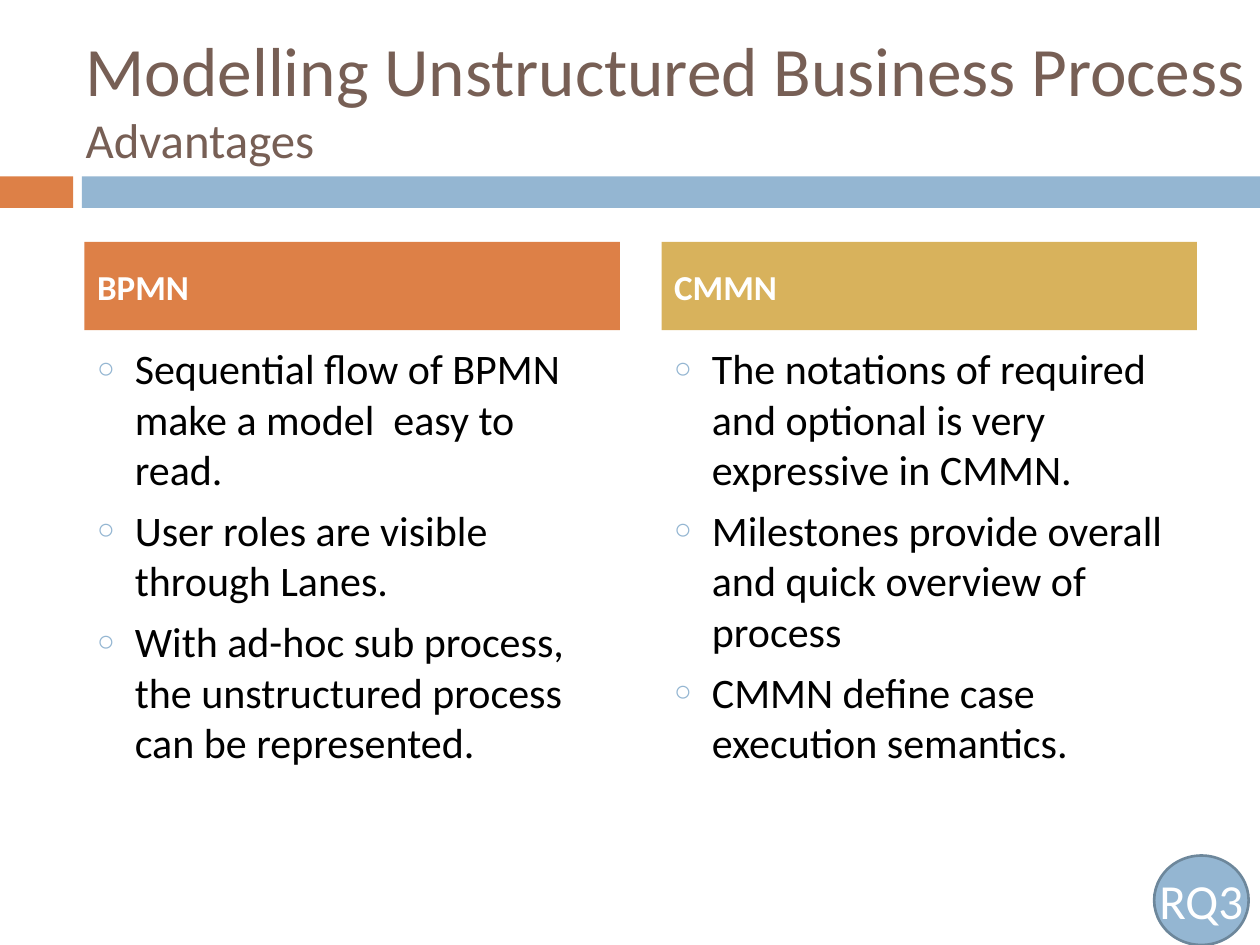
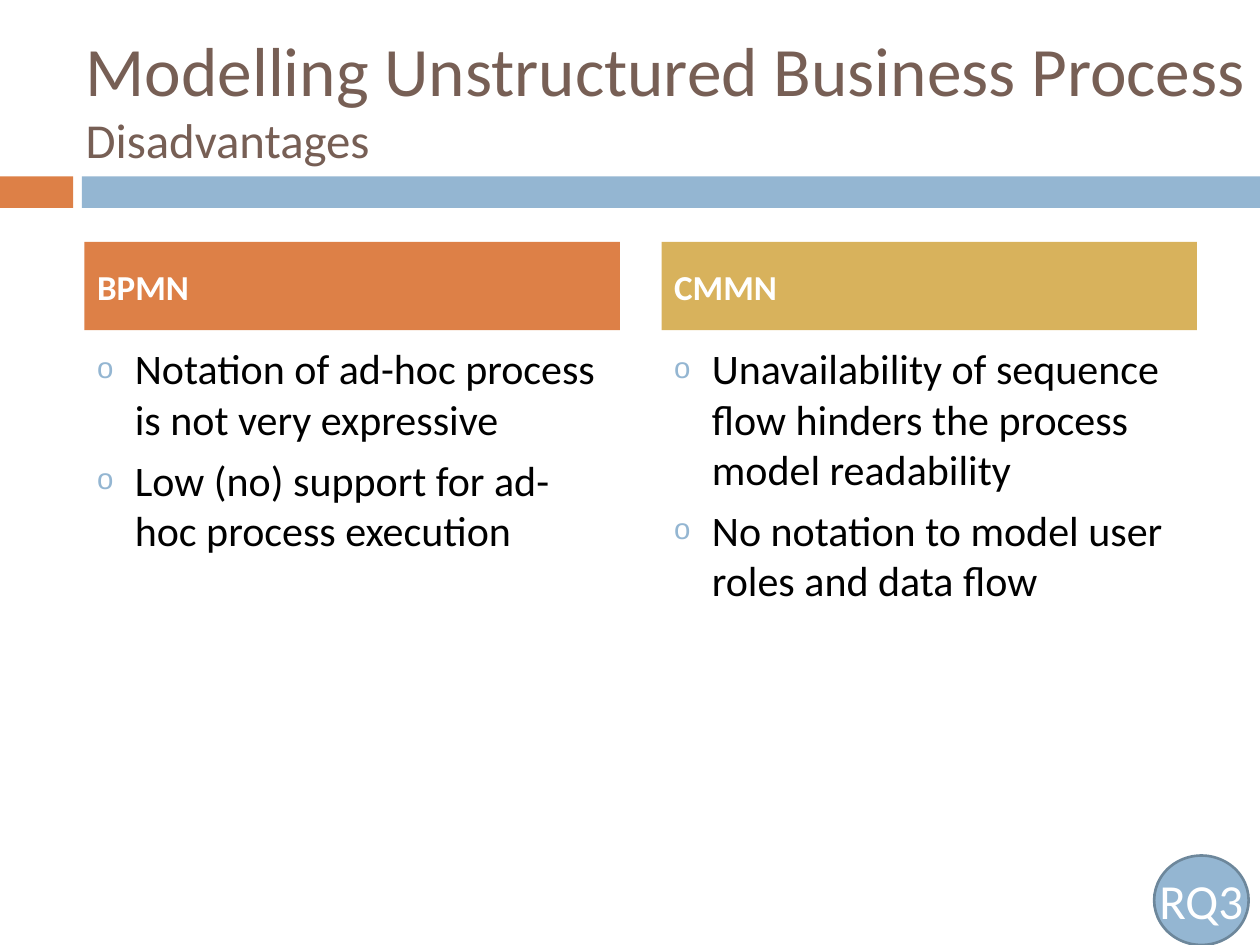
"""Build two slides comparing BPMN and CMMN for unstructured processes."""
import copy

import lxml.etree
import pptx
import pptx.dml.color
import pptx.enum.shapes
import pptx.enum.text
import pptx.oxml.ns
import pptx.util
from pptx.util import Inches

FONT = "Calibri"
ORANGE, BLUE, GOLD = "DD8047", "94B6D2", "D8B25C"
BROWN, WHITE, BLACK, SLATE = "775F55", "FFFFFF", "000000", "6D879B"
COLUMN_LEFT, COLUMN_STEP, COLUMN_WIDTH = 0.67, 4.58, 4.25
COMPARISON_LAYOUT = 4
TOPIC = "Modelling Unstructured Business Process"

SLIDES = [
    ("Advantages", "○", [
        ("BPMN", ORANGE, [
            "Sequential flow of BPMN make a model  easy to read.",
            "User roles are visible through Lanes.",
            "With ad-hoc sub process, the unstructured process can be represented.",
        ]),
        ("CMMN", GOLD, [
            "The notations of required and optional is very expressive in CMMN.",
            "Milestones provide overall and quick overview of process",
            "CMMN define case execution semantics.",
        ]),
    ]),
    ("Disadvantages", "o", [
        ("BPMN", ORANGE, [
            "Notation of ad-hoc process is not very expressive",
            "Low (no) support for ad-hoc process execution",
        ]),
        ("CMMN", GOLD, [
            "Unavailability of sequence flow hinders the process model readability",
            "No notation to model user roles and data flow",
        ]),
    ]),
]


def color(value):
    """Turn a hex string into a colour."""
    return pptx.dml.color.RGBColor.from_string(value)


def fill(shape, value):
    """Give a shape a solid fill."""
    shape.fill.solid()
    shape.fill.fore_color.rgb = color(value)


def place(shape, left, top, width, height):
    """Move and size a shape, in inches."""
    shape.left, shape.top = Inches(left), Inches(top)
    shape.width, shape.height = Inches(width), Inches(height)


def style(span, size, value, bold=False):
    """Format one run."""
    span.font.name = FONT
    span.font.size = pptx.util.Pt(size)
    span.font.bold = bold
    span.font.color.rgb = color(value)


def add_plain_shape(page, kind, left, top, width, height, value):
    """Add a filled shape without line or shadow."""
    shape = page.shapes.add_shape(
        kind, Inches(left), Inches(top), Inches(width), Inches(height))
    shape.shadow.inherit = False
    shape.line.fill.background()
    fill(shape, value)
    return shape


def add_bands(page):
    """Add the two bands under the title."""
    rectangle = pptx.enum.shapes.MSO_SHAPE.RECTANGLE
    add_plain_shape(page, rectangle, 0, 1.4, 0.58, 0.25, ORANGE)
    add_plain_shape(page, rectangle, 0.65, 1.4, 9.35, 0.25, BLUE)


def set_title(page, subtitle):
    """Write the topic and the smaller subtitle below it."""
    title = page.shapes.title
    place(title, 0.58, 0.3, 9.69, 0.95)
    frame = title.text_frame
    frame.auto_size = pptx.enum.text.MSO_AUTO_SIZE.NONE
    frame.vertical_anchor = pptx.enum.text.MSO_ANCHOR.MIDDLE
    para = frame.paragraphs[0]
    para.text = f"{TOPIC}\v{subtitle}"
    para.alignment = pptx.enum.text.PP_ALIGN.LEFT
    for span, size in zip(para.runs, (39.6, 27.9)):
        style(span, size, BROWN)
    line_break = para._p.find(pptx.oxml.ns.qn("a:br"))
    line_break.append(copy.deepcopy(para.runs[0].font._element))


def set_header(box, left, text, value):
    """Format the coloured heading of a column."""
    place(box, left, 1.92, COLUMN_WIDTH, 0.7)
    fill(box, value)
    frame = box.text_frame
    frame.text = text
    frame.vertical_anchor = pptx.enum.text.MSO_ANCHOR.MIDDLE
    para = frame.paragraphs[0]
    para.space_before = pptx.util.Pt(0)
    style(para.runs[0], 20, WHITE, bold=True)


def add_bullet(para, mark):
    """Give a paragraph a small blue bullet and a hanging indent."""
    qn = pptx.oxml.ns.qn
    properties = para._p.get_or_add_pPr()
    properties.set("marL", str(Inches(0.3)))
    properties.set("indent", str(-Inches(0.3)))
    bullet_color = lxml.etree.SubElement(properties, qn("a:buClr"))
    lxml.etree.SubElement(bullet_color, qn("a:srgbClr")).set("val", BLUE)
    lxml.etree.SubElement(properties, qn("a:buSzPct")).set("val", "70000")
    lxml.etree.SubElement(properties, qn("a:buChar")).set("char", mark)


def set_list(box, left, items, mark):
    """Fill the bulleted list of a column."""
    place(box, left, 2.67, COLUMN_WIDTH, 3.92)
    frame = box.text_frame
    frame.text = "\n".join(items)
    frame.auto_size = pptx.enum.text.MSO_AUTO_SIZE.NONE
    for index, para in enumerate(frame.paragraphs):
        add_bullet(para, mark)
        para.space_before = pptx.util.Pt(6 if index else 0)
        style(para.runs[0], 24, BLACK)


def add_badge(page, text):
    """Add the round research question badge."""
    badge = add_plain_shape(
        page, pptx.enum.shapes.MSO_SHAPE.OVAL, 9.16, 6.79, 0.75, 0.71, BLUE)
    badge.line.color.rgb = color(SLATE)
    badge.line.width = pptx.util.Pt(1.5)
    frame = badge.text_frame
    frame.word_wrap = False
    frame.margin_left = frame.margin_right = 0
    frame.margin_top = frame.margin_bottom = 0
    frame.vertical_anchor = pptx.enum.text.MSO_ANCHOR.MIDDLE
    frame.text = text
    frame.paragraphs[0].alignment = pptx.enum.text.PP_ALIGN.CENTER
    style(frame.paragraphs[0].runs[0], 28, WHITE)


def main():
    """Build and save the deck."""
    deck = pptx.Presentation()
    deck.slide_width, deck.slide_height = Inches(10), Inches(7.5)
    for subtitle, mark, columns in SLIDES:
        page = deck.slides.add_slide(deck.slide_layouts[COMPARISON_LAYOUT])
        add_bands(page)
        set_title(page, subtitle)
        for index, (heading, value, items) in enumerate(columns):
            left = COLUMN_LEFT + index * COLUMN_STEP
            set_header(page.placeholders[1 + 2 * index], left, heading, value)
            set_list(page.placeholders[2 + 2 * index], left, items, mark)
        add_badge(page, "RQ3")
    deck.save("out.pptx")


if __name__ == "__main__":
    main()
